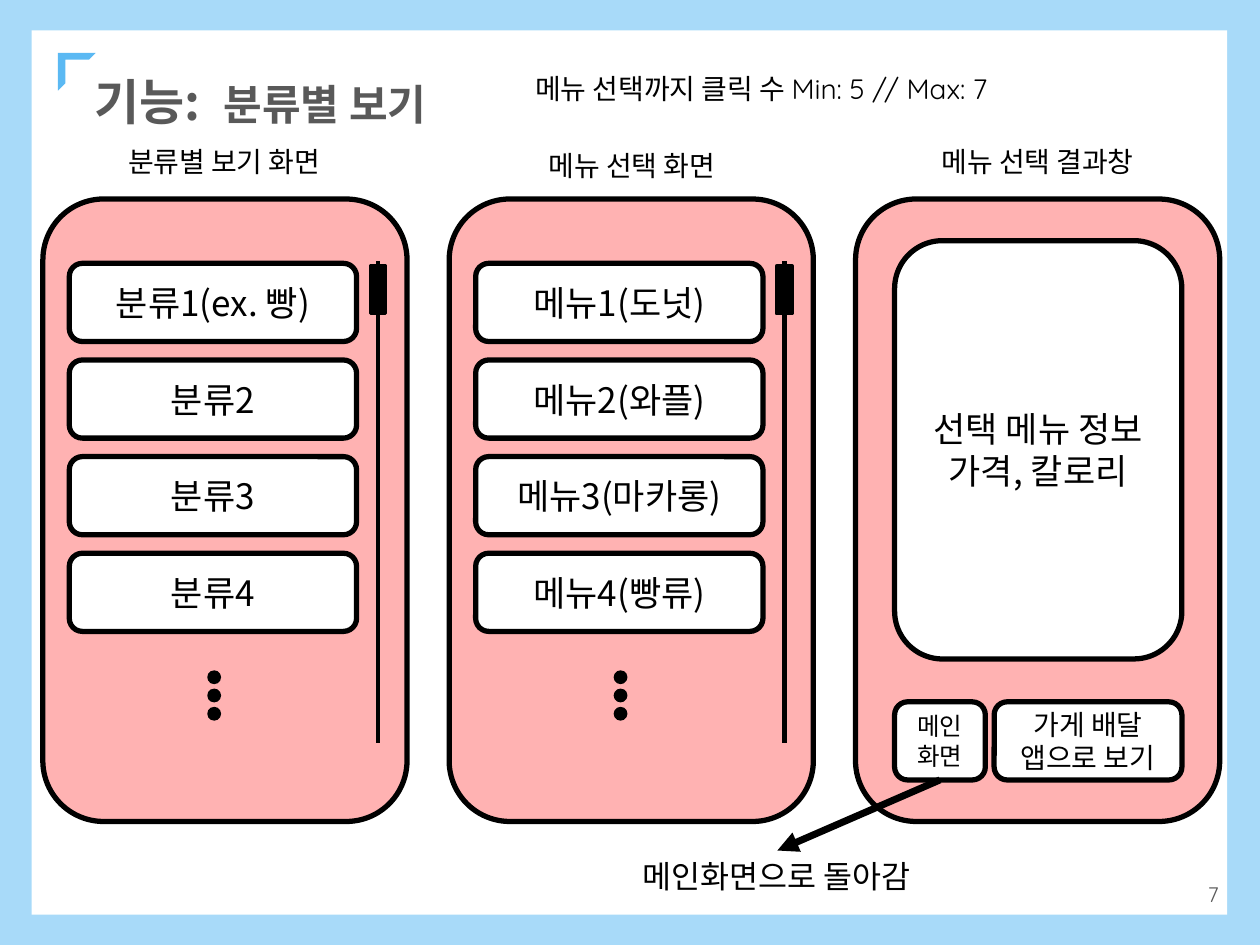
from lxml.etree import SubElement
from pptx import Presentation
from pptx.dml.color import RGBColor
from pptx.enum.shapes import MSO_CONNECTOR, MSO_SHAPE
from pptx.enum.text import MSO_ANCHOR, PP_ALIGN
from pptx.oxml.ns import qn
from pptx.util import Inches, Pt

COLORS = {"frame": "A8DAF9", "accent": "5BB9F3", "white": "FFFFFF",
          "black": "000000", "gray": "595959", "phone": "FF0000"}
KOREAN, LATIN = "Noto Sans CJK KR", "Quicksand"
COLS, ROWS = 100, 75  # slide grid, ten cells to the inch
PHONE_W, PHONE_H, PHONE_TOP = 28.9, 49.4, 15.8
PHONE_LEFT, PHONE_STEP = 3.4, 32.25
BUTTON_W, BUTTON_H = 22.8, 6.2


def grid(*cells):
    return [Inches(c / 10) for c in cells]


def color(name):
    return RGBColor.from_string(COLORS[name])


def add_run(p, text, size, ink="black", font=KOREAN, bold=False):
    r = p.add_run()
    r.text = text
    r.font.size, r.font.bold, r.font.name = Pt(size), bold, font
    r.font.color.rgb = color(ink)
    SubElement(r.font._element, qn("a:ea")).set("typeface", KOREAN)
    return r


def add_lines(tf, lines, size, align=PP_ALIGN.CENTER, **style):
    """Write one paragraph per line."""
    tf.word_wrap = True
    for i, line in enumerate(lines):
        p = tf.paragraphs[0] if i == 0 else tf.add_paragraph()
        p.alignment = align
        add_run(p, line, size, **style)


def add_block(shapes, kind, box, fill, line=0):
    sp = shapes.add_shape(kind, *grid(*box))
    sp.shadow.inherit = False
    sp.fill.solid()
    sp.fill.fore_color.rgb = color(fill)
    if line:
        sp.line.color.rgb = color("black")
        sp.line.width = Pt(line)
    else:
        sp.line.fill.background()
    return sp


def add_button(shapes, box, lines, size):
    sp = add_block(shapes, MSO_SHAPE.ROUNDED_RECTANGLE, box, "white", 3)
    sp.text_frame.vertical_anchor = MSO_ANCHOR.MIDDLE
    add_lines(sp.text_frame, lines, size)
    return sp


def add_label(shapes, box, text, size, **style):
    tf = shapes.add_textbox(*grid(*box)).text_frame
    add_lines(tf, [text], size, **style)
    return tf


def add_line(shapes, start, end, width):
    cxn = shapes.add_connector(MSO_CONNECTOR.STRAIGHT, *grid(*start, *end))
    cxn.line.color.rgb = color("black")
    cxn.line.width = Pt(width)
    SubElement(cxn._element.spPr, qn("a:effectLst"))
    return cxn


def add_phone(shapes, x, y):
    body = add_block(shapes, MSO_SHAPE.ROUNDED_RECTANGLE,
                     (x, y, PHONE_W, PHONE_H), "phone", 3)
    fill = body._element.spPr.find(qn("a:solidFill"))
    SubElement(fill[0], qn("a:alpha")).set("val", "30000")


def add_list_phone(s, x, y, items, title, title_box):
    """Phone with a list of buttons, an ellipsis and a scroll bar."""
    shapes = s.shapes.add_group_shape().shapes
    add_phone(shapes, x, y)
    for i, item in enumerate(items):
        add_button(shapes, (x + 2.1, y + 5.1 + 7.67 * i, BUTTON_W, BUTTON_H), [item], 20)
    for i in range(3):
        add_block(shapes, MSO_SHAPE.OVAL, (x + 13.05, y + 37.4 + 1.45 * i, 1.1, 1.1), "black")
    bar = x + 26.6
    add_line(shapes, (bar, y + 4.9), (bar, y + 43.2), 2.5)
    add_block(shapes, MSO_SHAPE.RECTANGLE, (bar - 0.6, y + 5.3, 1.2, 3.8), "black", 2)
    add_label(shapes, title_box, title, 16)


def add_result_phone(s, x, y, title, title_box):
    """Phone with the chosen menu, two buttons and an arrow back to the start."""
    shapes = s.shapes.add_group_shape().shapes
    add_phone(shapes, x, y)
    left, row = x + 3.1, y + 39.9
    add_button(shapes, (left + 7.9, row, 14.9, BUTTON_H), ["가게 배달", "앱으로 보기"], 16)
    add_button(shapes, (left, y + 3.3, BUTTON_W, 33.2), ["선택 메뉴 정보", "가격, 칼로리"], 20)
    home = add_button(shapes, (left, row, 7.2, BUTTON_H), ["메인", "화면"], 14)
    add_label(shapes, title_box, title, 16)
    arrow = add_line(shapes, (left + 3.6, row + BUTTON_H), (x - 6.2, y + 51.7), 4)
    arrow.begin_connect(home, 2)
    SubElement(arrow.line._get_or_add_ln(), qn("a:tailEnd")).set("type", "triangle")
    add_label(shapes, (x - 21.7, y + 51.7, 30.9, 4), "메인화면으로 돌아감", 18)


def add_background(s):
    add_block(s.shapes, MSO_SHAPE.RECTANGLE, (0, 0, COLS, ROWS), "frame")
    add_block(s.shapes, MSO_SHAPE.RECTANGLE, (2.5, 2.4, 94.9, 70.2), "white")
    corner = add_block(s.shapes, MSO_SHAPE.HALF_FRAME, (4.6, 4.2, 3, 3), "accent")
    corner.adjustments[0], corner.adjustments[1] = 0.18, 0.2
    tf = add_label(s.shapes, (74.4, 69, 23.3, 4), "7", 12,
                   align=PP_ALIGN.RIGHT, ink="gray", font=LATIN)
    tf.vertical_anchor = MSO_ANCHOR.MIDDLE


def add_header(s):
    add_label(s.shapes, (41.5, 5.2, 58.3, 3.7), "메뉴 선택까지 클릭 수 Min: 5 // Max: 7", 16,
              align=PP_ALIGN.LEFT, font=LATIN)
    tf = add_label(s.shapes, (6.5, 5.2, 50, 5.7), "기능:", 28,
                   align=PP_ALIGN.LEFT, ink="gray", bold=True)
    p = tf.paragraphs[0]
    gap = add_run(p, " ", 28, "gray", bold=True)
    gap.font._element.set("spc", "700")
    add_run(p, "분류별 보기", 24, "gray", bold=True)


def main():
    prs = Presentation()
    prs.slide_width, prs.slide_height = grid(COLS, ROWS)
    s = prs.slides.add_slide(prs.slide_layouts[6])
    add_background(s)
    lefts = [PHONE_LEFT + PHONE_STEP * i for i in range(3)]
    add_list_phone(s, lefts[0], PHONE_TOP, ["분류1(ex. 빵)", "분류2", "분류3", "분류4"],
                   "분류별 보기 화면", (7.3, 11, 21, 3.7))
    add_list_phone(s, lefts[1], PHONE_TOP,
                   ["메뉴1(도넛)", "메뉴2(와플)", "메뉴3(마카롱)", "메뉴4(빵류)"],
                   "메뉴 선택 화면", (41.5, 11.3, 17.3, 3))
    add_result_phone(s, lefts[2], PHONE_TOP, "메뉴 선택 결과창", (72.1, 11, 20.5, 3.7))
    add_header(s)
    prs.save("out.pptx")


if __name__ == "__main__":
    main()
